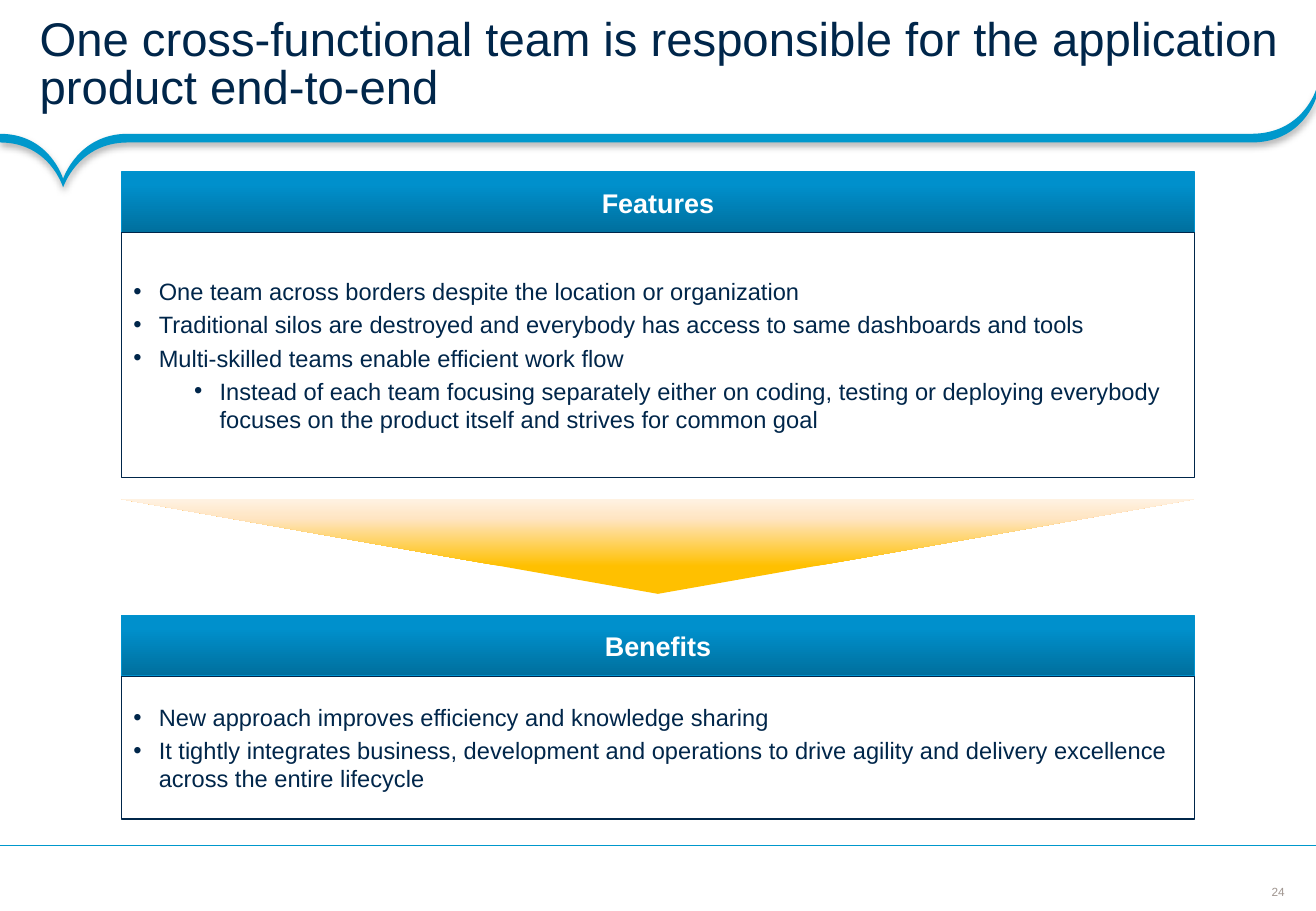
from lxml import etree
from pptx import Presentation
from pptx.dml.color import RGBColor
from pptx.enum.shapes import MSO_CONNECTOR, MSO_SHAPE
from pptx.enum.text import MSO_ANCHOR, PP_ALIGN
from pptx.oxml.ns import qn
from pptx.util import Cm, Pt

RECTANGLE, TRIANGLE = MSO_SHAPE.RECTANGLE, MSO_SHAPE.ISOSCELES_TRIANGLE
STRAIGHT = MSO_CONNECTOR.STRAIGHT
MIDDLE = MSO_ANCHOR.MIDDLE
LEFT, CENTER = PP_ALIGN.LEFT, PP_ALIGN.CENTER

NAVY = RGBColor(0x00, 0x26, 0x4A)
CYAN = RGBColor(0x00, 0x98, 0xCC)
HEADER_EDGE = RGBColor(0x00, 0x92, 0xCE)
WHITE = RGBColor(0xFF, 0xFF, 0xFF)
GREY = RGBColor(0x9F, 0x95, 0x8F)
BLACK = RGBColor(0x00, 0x00, 0x00)
HEADER_STOPS = [
    (0, RGBColor(0x00, 0x6F, 0x9D)),
    (80, RGBColor(0x00, 0x90, 0xCC)),
    (100, RGBColor(0x00, 0x91, 0xCD)),
]
ARROW_STOPS = [
    (29, RGBColor(0xFF, 0xC0, 0x00)),
    (80, RGBColor(0xFF, 0xE5, 0xC3)),
    (100, RGBColor(0xFF, 0xF2, 0xE2)),
]

SLIDE_WIDTH, SLIDE_HEIGHT = 27.51, 19.05
PANEL_LEFT, PANEL_WIDTH, HEADER_HEIGHT = 2.54, 22.43, 1.27
BAND_THICKNESS = 0.18

PANELS = [
    ("Features", 3.6, 5.12, [
        (0, "One team across borders despite the location or organization"),
        (0, "Traditional silos are destroyed and everybody has access to same dashboards and tools"),
        (0, "Multi-skilled teams enable efficient work flow"),
        (1, "Instead of each team focusing separately either on coding, testing or deploying "
            "everybody focuses on the product itself and strives for common goal"),
    ]),
    ("Benefits", 12.87, 2.99, [
        (0, "New approach improves efficiency and knowledge sharing"),
        (0, "It tightly integrates business, development and operations to drive agility and "
            "delivery excellence across the entire lifecycle"),
    ]),
]


def write(shape, lines, size, color, align, margins, bold=False, wrap=True):
    frame = shape.text_frame
    sides = ("margin_left", "margin_top", "margin_right", "margin_bottom")
    settings = dict(zip(sides, map(Cm, margins)))
    settings.update(word_wrap=wrap, vertical_anchor=MIDDLE)
    for key, value in settings.items():
        setattr(frame, key, value)
    for index, line in enumerate(lines):
        paragraph = frame.add_paragraph() if index else frame.paragraphs[0]
        paragraph.alignment = align
        run = paragraph.add_run()
        run.text = line
        run.font.color.rgb = color
        for key, value in {"name": "Arial", "size": Pt(size), "bold": bold}.items():
            setattr(run.font, key, value)
    return frame.paragraphs


def fill_gradient(shape, stops, angle):
    shape.fill.gradient()
    shape.fill.gradient_angle = angle
    stop_list = shape.element.spPr.find(".//" + qn("a:gsLst"))
    for stop in list(stop_list):
        stop_list.remove(stop)
    for position, color in stops:
        stop = etree.SubElement(stop_list, qn("a:gs"), pos=str(position * 1000))
        etree.SubElement(stop, qn("a:srgbClr"), val=str(color))


deck = Presentation()
deck.slide_width, deck.slide_height = Cm(SLIDE_WIDTH), Cm(SLIDE_HEIGHT)
slide = deck.slides.add_slide(deck.slide_layouts[6])
shapes = slide.shapes

page_number = shapes.add_textbox(Cm(26.57), Cm(18.5), Cm(0.3), Cm(0.3))
write(page_number, ["24"], 7, GREY, CENTER, (0, 0, 0, 0), wrap=False)

corner, bend, dip, tip = (SLIDE_WIDTH, 1.88), (26.16, 2.8), (2.67, 2.8), (1.32, 3.74)
upper_edge = [
    corner, corner, (27.23, 2.8), bend,
    bend, dip, dip,
    (1.63, 2.8), tip, tip,
    tip, (1.04, 2.8), (0, 2.8),
]
lower_edge = [(x, y + BAND_THICKNESS) for x, y in reversed(upper_edge)]
left_end = [lower_edge[0]] * 2
right_end = [corner] * 3
outline = [(Cm(x), Cm(y)) for x, y in upper_edge + left_end + lower_edge + right_end]
builder = shapes.build_freeform(*outline[0])
builder.add_line_segments(outline[1:], close=True)
title_band = builder.convert_to_shape()
segments = list(title_band.element.iter(qn("a:lnTo")))
for first, second, third in zip(segments[::3], segments[1::3], segments[2::3]):
    first.tag = qn("a:cubicBezTo")
    for control in (second, third):
        first.append(control[0])
        control.getparent().remove(control)
title_band.fill.solid()
title_band.fill.fore_color.rgb = CYAN
title_band.line.fill.background()
title_band.shadow.inherit = False
effects = title_band.element.spPr.find(qn("a:effectLst"))
shadow = etree.SubElement(
    effects, qn("a:outerShdw"), blurRad=str(Pt(4)), dist=str(Pt(2)),
    dir="5400000", algn="t", rotWithShape="0")
shadow_color = etree.SubElement(shadow, qn("a:srgbClr"), val=str(BLACK))
etree.SubElement(shadow_color, qn("a:alpha"), val="31000")

footer_rule = shapes.add_connector(STRAIGHT, Cm(SLIDE_WIDTH), Cm(17.68), Cm(0), Cm(17.68))
footer_rule.line.color.rgb = CYAN
footer_rule.line.width = Pt(0.75)
etree.SubElement(footer_rule.element.spPr, qn("a:effectLst"))

title = shapes.add_textbox(Cm(0), Cm(0), Cm(SLIDE_WIDTH), Cm(2.78))
title_lines = write(
    title, ["One cross-functional team is responsible for the application product end-to-end"],
    28, NAVY, LEFT, (0.83, 0.1, 0.46, 0.1))
title_lines[0].line_spacing = 0.85

for heading, top, body_height, points in PANELS:
    header = shapes.add_shape(
        RECTANGLE, Cm(PANEL_LEFT), Cm(top), Cm(PANEL_WIDTH), Cm(HEADER_HEIGHT))
    fill_gradient(header, HEADER_STOPS, 90)
    write(header, [heading], 16, WHITE, CENTER, (0.5, 0.5, 0.5, 0.5), bold=True)

    body = shapes.add_shape(
        RECTANGLE, Cm(PANEL_LEFT), Cm(top + HEADER_HEIGHT), Cm(PANEL_WIDTH), Cm(body_height))
    body.fill.solid()
    body.fill.fore_color.rgb = WHITE
    bullets = write(
        body, [text for _, text in points], 14, NAVY, LEFT, (0.25, 0.13, 0.25, 0.13))
    for bullet, (level, _) in zip(bullets, points):
        bullet.level = level + 1
        bullet.space_before = Pt(2.8)
        properties = bullet._p.get_or_add_pPr()
        properties.set("marL", str(Cm(0.53 + 1.27 * level)))
        properties.set("indent", str(Cm(-0.53)))
        etree.SubElement(properties, qn("a:buFont"), typeface="Arial")
        etree.SubElement(properties, qn("a:buChar"), char="•")

    for part, edge in ((header, HEADER_EDGE), (body, NAVY)):
        part.line.color.rgb = edge
        part.line.width = Pt(0.75)
        part.shadow.inherit = False

arrow = shapes.add_shape(TRIANGLE, Cm(PANEL_LEFT), Cm(10.44), Cm(PANEL_WIDTH), Cm(1.98))
fill_gradient(arrow, ARROW_STOPS, 270)
arrow.line.fill.background()
arrow.shadow.inherit = False
for flip in ("flipH", "flipV"):
    arrow.element.spPr.find(qn("a:xfrm")).set(flip, "1")

deck.save("out.pptx")
